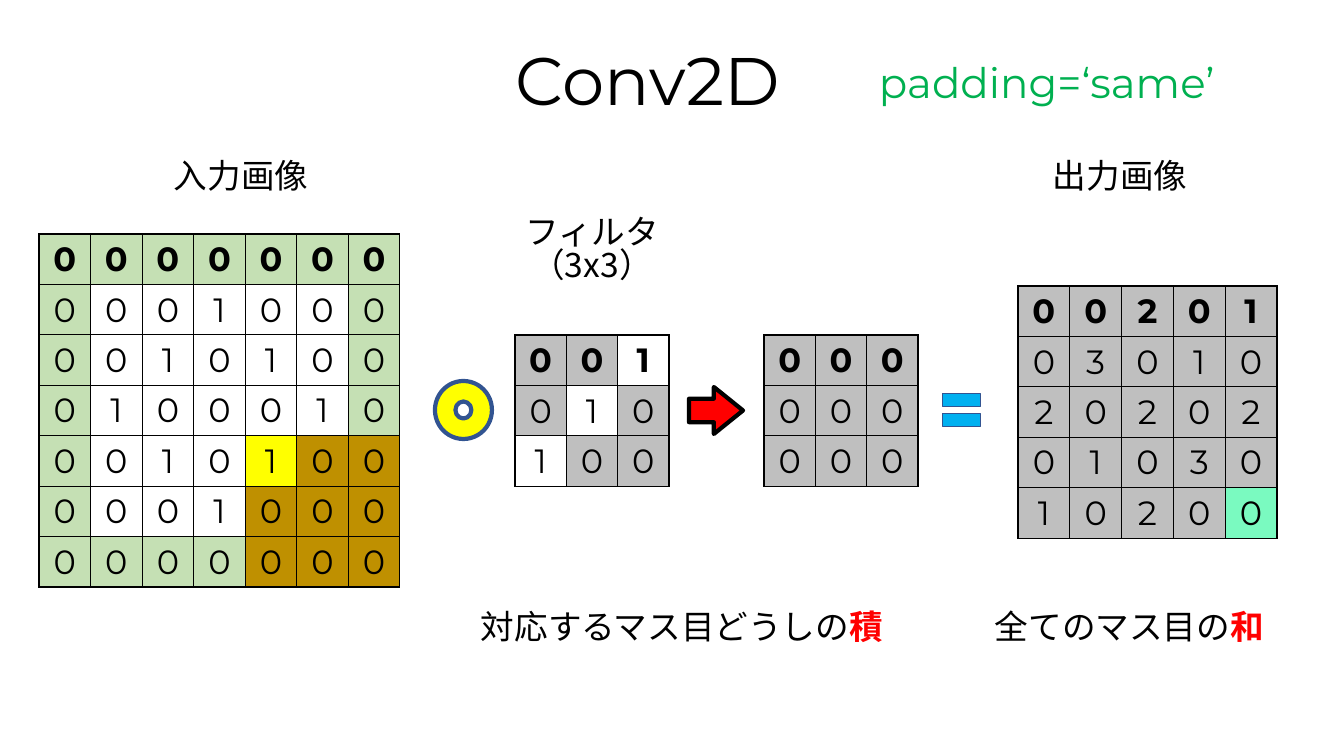
from dataclasses import dataclass

from lxml import etree
from pptx import Presentation
from pptx import util as u
from pptx.dml.color import RGBColor
from pptx.enum import shapes, text
from pptx.oxml import ns

PIXEL = 914400 / 100.8


@dataclass(frozen=True)
class Theme:
    latin: str = "Montserrat"
    japanese: str = "Noto Sans CJK JP"
    black: str = "000000"
    red: str = "FF0000"
    yellow: str = "FFFF00"
    green: str = "00B050"
    blue: str = "00B0F0"
    outline: str = "325491"
    title: int = 48
    subtitle: int = 30
    body: int = 24
    japanese_spacing: float = 0.82


THEME = Theme()

# Cell fills by letter: padding, white, gray, window, centre, result, none
FILLS = {"p": "C5E0B4", "w": "FFFFFF", "g": "BFBFBF", "b": "BF9000",
         "y": THEME.yellow, "r": "7AFAC0", "-": None}

# Each grid: left, top, width, row height, digits, fills
GRIDS = [
    (515, 335, 154, 50, "001 010 100", "gg- g-g -gg"),
    (764, 335, 154, 50, "000 000 000", "ggg ggg ggg"),
    (39, 234, 361, 50,
     "0000000 0001000 0010100 0100010 0010100 0001000 0000000",
     "ppppppp pwwwwwp pwwwwwp pwwwwwp pwwwybb pwwwbbb ppppbbb"),
    (1018, 286, 259, 50, "00201 03010 20202 01030 10200",
     "ggggg ggggg ggggg ggggg ggggr"),
]


def px(value):
    return u.Emu(round(value * PIXEL))


def color(value):
    return RGBColor.from_string(value)


def style_run(run, size, font, ink, bold=False):
    run.font.size = u.Pt(size)
    run.font.bold = bold
    run.font.color.rgb = color(ink)
    run.font.name = font
    east_asian = etree.SubElement(run.font._element, ns.qn("a:ea"))
    east_asian.set("typeface", font)


def add_label(slide, box, lines, size=THEME.body, font=THEME.japanese,
              ink=THEME.black, accent="", spacing=THEME.japanese_spacing,
              before=0, align=text.PP_ALIGN.LEFT, anchor=text.MSO_ANCHOR.TOP):
    """Add a text box; the accent ends the last line in bold red."""
    frame = slide.shapes.add_textbox(*map(px, box)).text_frame
    frame.word_wrap = not accent
    frame.vertical_anchor = anchor
    frame.text = lines
    for paragraph in frame.paragraphs:
        paragraph.alignment = align
        paragraph.line_spacing = spacing
        paragraph.space_before = u.Pt(before)
        style_run(paragraph.runs[0], size, font, ink)
    if accent:
        run = frame.paragraphs[-1].add_run()
        run.text = accent
        style_run(run, size, font, THEME.red, bold=True)


def add_symbol(slide, kind, box, fill, line, line_width, adjustments=()):
    shape = slide.shapes.add_shape(kind, *map(px, box))
    shape.shadow.inherit = False
    shape.fill.solid()
    shape.fill.fore_color.rgb = color(fill)
    shape.line.color.rgb = color(line)
    shape.line.width = u.Pt(line_width)
    for index, value in enumerate(adjustments):
        shape.adjustments[index] = value


def add_borders(cell):
    properties = cell._tc.get_or_add_tcPr()
    for side in ("lnL", "lnR", "lnT", "lnB"):
        line = etree.SubElement(properties, ns.qn(f"a:{side}"), w=str(u.Pt(1)))
        fill = etree.SubElement(line, ns.qn("a:solidFill"))
        etree.SubElement(fill, ns.qn("a:srgbClr"), val=THEME.black)


def fill_cell(cell, digit, fill, bold):
    add_borders(cell)
    if fill:
        cell.fill.solid()
        cell.fill.fore_color.rgb = color(fill)
    else:
        cell.fill.background()
    cell.vertical_anchor = text.MSO_ANCHOR.MIDDLE
    cell.text_frame.text = digit
    paragraph = cell.text_frame.paragraphs[0]
    paragraph.alignment = text.PP_ALIGN.CENTER
    style_run(paragraph.runs[0], THEME.body, THEME.latin, THEME.black, bold)


def add_grid(slide, left, top, width, row_height, digits, fills):
    digits, fills = digits.split(), fills.split()
    rows, columns = len(digits), len(digits[0])
    table = slide.shapes.add_table(rows, columns, px(left), px(top), px(width),
                                   px(row_height * rows)).table
    table.horz_banding = False
    for row in range(rows):
        for column in range(columns):
            fill_cell(table.cell(row, column), digits[row][column],
                      FILLS[fills[row][column]], bold=row == 0)


def main():
    presentation = Presentation()
    presentation.slide_width = px(1344)
    presentation.slide_height = px(756)
    slide = presentation.slides.add_slide(presentation.slide_layouts[6])

    # Heading
    add_label(slide, (506, 49, 326, 79), "Conv2D", THEME.title, THEME.latin,
              spacing=0.8, before=10)
    add_label(slide, (869, 62, 415, 52), "padding=‘same’", THEME.subtitle,
              THEME.latin, THEME.green, spacing=0.7, before=10,
              anchor=text.MSO_ANCHOR.MIDDLE)

    # Matrices
    for grid in GRIDS:
        add_grid(slide, *grid)

    # Operators between the matrices
    kinds = shapes.MSO_SHAPE
    add_symbol(slide, kinds.DONUT, (435, 381, 57, 58), THEME.yellow,
               THEME.outline, 3, [0.36])
    add_symbol(slide, kinds.RIGHT_ARROW, (689, 387, 54, 47), THEME.red,
               THEME.black, 3, [0.5, 0.62])
    add_symbol(slide, kinds.MATH_EQUAL, (936, 382, 51, 56), THEME.blue,
               THEME.outline, 1)

    # Captions
    add_label(slide, (164, 157, 175, 50), "入力画像")
    add_label(slide, (1043, 157, 175, 50), "出力画像")
    add_label(slide, (493, 213, 198, 92), "フィルタ\n（3x3）",
              align=text.PP_ALIGN.CENTER)
    add_label(slide, (471, 608, 427, 50), "対応するマス目どうしの", accent="積")
    add_label(slide, (985, 608, 291, 50), "全てのマス目の", accent="和")

    presentation.save("out.pptx")


main()
